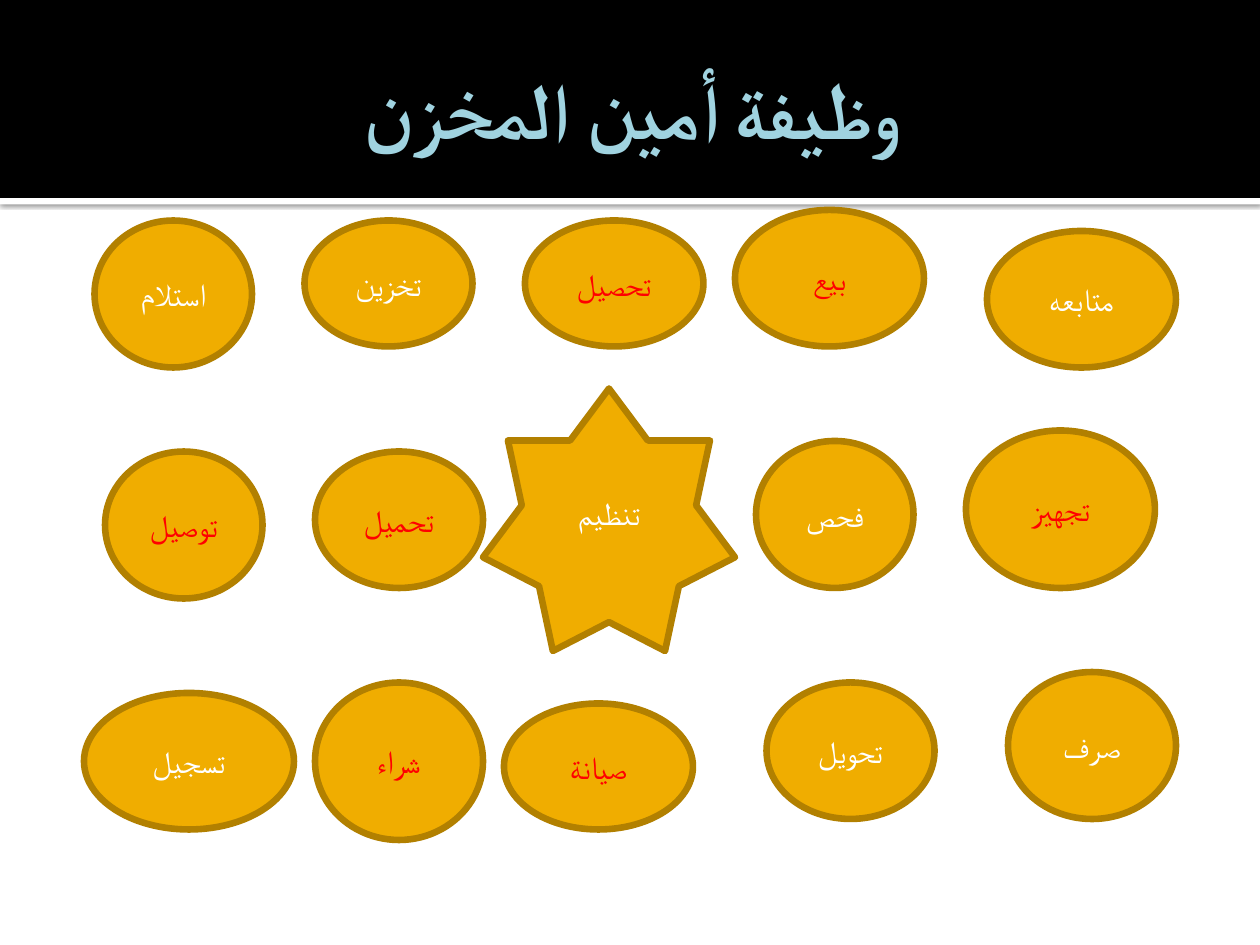
"""Build the slide on the duties of a storekeeper."""
from lxml import etree
from pptx import Presentation
from pptx.dml.color import RGBColor
from pptx.enum.shapes import MSO_SHAPE
from pptx.enum.text import MSO_ANCHOR, PP_ALIGN
from pptx.oxml import parse_xml
from pptx.oxml.ns import nsdecls, qn
from pptx.util import Cm, Pt

FONT = "Cabin"
TWELFTH = 2.54 / 12
WHITE, RED = "FFFFFF", "FF0000"


def colour(value):
    return RGBColor.from_string(value)


def write(box, text, size, value, bold=False):
    box.text_frame.vertical_anchor = MSO_ANCHOR.MIDDLE
    para = box.text_frame.paragraphs[0]
    para.alignment = PP_ALIGN.CENTER
    span = para.add_run()
    span.text = text
    span.font.size = Pt(size)
    span.font.bold = bold
    span.font.color.rgb = colour(value)
    span.font.name = FONT
    etree.SubElement(span.font._element, qn("a:cs")).set("typeface", FONT)
    return para


deck = Presentation()
deck.slide_width, deck.slide_height = Cm(25.4), Cm(19.05)
page = deck.slides.add_slide(deck.slide_layouts[5])

bands = []
for top, height, fill in [(3.99, 0.13, WHITE), (0, 3.99, "000000")]:
    band = page.shapes.add_shape(MSO_SHAPE.RECTANGLE, 0, Cm(top), deck.slide_width, Cm(height))
    band.shadow.inherit = False
    band.fill.solid()
    band.fill.fore_color.rgb = colour(fill)
    band.line.fill.background()
    page.shapes._spTree.insert(2 + len(bands), band._element)
    bands.append(band)

effects = bands[0]._element.spPr.find(qn("a:effectLst"))
effects.append(parse_xml(
    f'<a:outerShdw {nsdecls("a")} blurRad="31750" dist="10160" dir="5400000" algn="tl" rotWithShape="0">'
    '<a:srgbClr val="000000"><a:alpha val="60000"/></a:srgbClr></a:outerShdw>'
))

title = page.shapes.title
title.left, title.top, title.width, title.height = Cm(1.27), Cm(0.43), Cm(22.86), Cm(3.48)
frame = title.text_frame
frame.word_wrap = True
frame.margin_left = Cm(0.25)
frame.margin_top = frame.margin_right = frame.margin_bottom = Cm(0.13)
heading = write(title, "وظيفة أمين المخزن", 45, "A0D3E0", True)
heading._p.get_or_add_pPr().set("rtl", "1")

duties = [
    ("صرف", 96, 64, 16, 14, WHITE),
    ("استلام", 9, 21, 15, 14, WHITE),
    ("بيع", 70, 20, 18, 13, RED),
    ("تحصيل", 50, 21, 17, 12, RED),
    ("تخزين", 29, 21, 16, 12, WHITE),
    ("فحص", 72, 42, 15, 14, WHITE),
    ("تحويل", 73, 65, 16, 13, WHITE),
    ("تجهيز", 92, 41, 18, 15, RED),
    ("تحميل", 30, 43, 16, 13, RED),
    ("توصيل", 10, 43, 15, 14, RED),
    ("متابعه", 94, 22, 18, 13, WHITE),
    ("تسجيل", 8, 66, 20, 13, WHITE),
    ("صيانة", 48, 67, 18, 12, RED),
    ("شراء", 30, 65, 16, 15, RED),
    ("تنظيم", 46, 37, 24, 25, WHITE),
]
for text, *place, value in duties:
    kind = MSO_SHAPE.STAR_7_POINT if text == "تنظيم" else MSO_SHAPE.OVAL
    duty = page.shapes.add_shape(kind, *[Cm(step * TWELFTH) for step in place])
    duty.shadow.inherit = False
    duty.fill.solid()
    duty.fill.fore_color.rgb = colour("F0AD00")
    duty.line.color.rgb = colour("B28000")
    duty.line.width = Pt(3.78)
    write(duty, text, 18, value)

deck.save("out.pptx")
